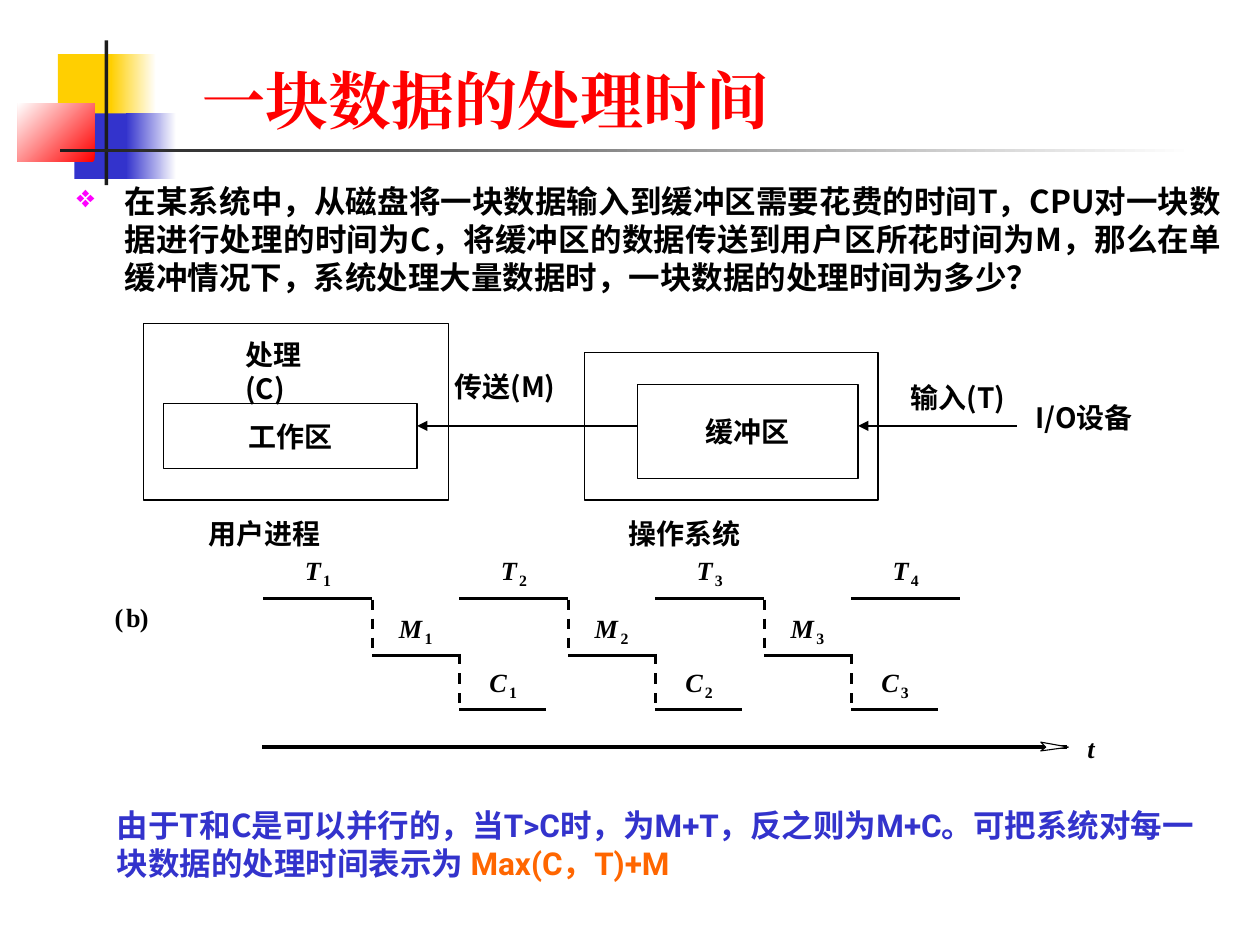
from lxml.etree import SubElement
from pptx import Presentation
from pptx.dml.color import RGBColor as RGB
from pptx.enum.shapes import MSO_CONNECTOR as CONN, MSO_SHAPE as SHAPE
from pptx.enum.text import MSO_ANCHOR as ANCHOR, PP_ALIGN as ALIGN
from pptx.oxml.ns import qn
from pptx.util import Inches, Pt

COLORS = {
    "black": "000000", "white": "FFFFFF", "dark": "1C1C1C", "yellow": "FFCF01",
    "blue": "3333CC", "red": "FF0000", "magenta": "FF00FF", "orange": "FF6600",
}
CJK, SANS, SERIF = "Noto Sans CJK SC", "Roboto", "Times New Roman"


def color(name):
    return RGB.from_string(COLORS[name])


def add_run(p, text, size=16, font=CJK, fill="black", italic=False):
    r = p.add_run()
    r.text = text
    f = r.font
    f.size, f.name, f.bold, f.italic = Pt(size), font, True, italic
    f.color.rgb = color(fill)
    SubElement(r._r.get_or_add_rPr(), qn("a:ea"), typeface=font)


def add_bullet(p, char, fill, indent):
    pPr = p._p.get_or_add_pPr()
    pPr.set("marL", str(Inches(indent)))
    pPr.set("indent", str(-Inches(indent)))
    clr = SubElement(pPr, qn("a:buClr"))
    SubElement(clr, qn("a:srgbClr"), val=COLORS[fill])
    SubElement(pPr, qn("a:buChar"), char=char)


class Board:
    """Holds the current slide and draws each kind of element in one style."""

    def __init__(self, slide):
        self.shapes = slide.shapes

    def box(self, x, y, w, h, fill="white", line=None, fade=None, angle=180):
        """Rectangle; with fade, a gradient runs from fill to fade."""
        sp = self.shapes.add_shape(SHAPE.RECTANGLE, *map(Inches, (x, y, w, h)))
        sp.shadow.inherit = False
        if fade:
            sp.fill.gradient()
            sp.fill.gradient_angle = angle
            for stop, name, pos in zip(sp.fill.gradient_stops, (fill, fade), (0, 1)):
                stop.color.rgb = color(name)
                stop.position = pos
        else:
            sp.fill.solid()
            sp.fill.fore_color.rgb = color(fill)
        if line:
            sp.line.color.rgb = color("black")
            sp.line.width = Pt(line)
        else:
            sp.line.fill.background()
        return sp

    def text(self, sp, runs, wrap=True, margin=True, align=ALIGN.LEFT,
             anchor=ANCHOR.TOP, spacing=None):
        """Fill a shape with runs, each a (text, format) pair."""
        tf = sp.text_frame
        tf.word_wrap, tf.vertical_anchor = wrap, anchor
        tf.margin_left = tf.margin_right = Inches(0.1 if margin else 0)
        tf.margin_top = tf.margin_bottom = Inches(0.05 if margin else 0)
        p = tf.paragraphs[0]
        p.alignment = align
        if spacing:
            p.line_spacing = Pt(spacing)
        for text, style in runs:
            add_run(p, text, **style)
        return p

    def label(self, x, y, w, h, runs, **layout):
        tb = self.shapes.add_textbox(*map(Inches, (x, y, w, h)))
        return self.text(tb, runs, **layout)

    def glyph(self, x, y, w, text, size=15, italic=False):
        """Serif letter on a white patch."""
        sp = self.box(x, y, w, 0.25 if size == 15 else 0.15)
        style = dict(size=size, font=SERIF, italic=italic)
        self.text(sp, [(text, style)], wrap=False, margin=False)

    def symbol(self, x, y, w, text, index):
        self.glyph(x, y, w, text, italic=True)
        self.glyph(x + w + 0.015, y + 0.13, 0.06, str(index), size=9)

    def line(self, x1, y1, x2, y2, width=1.75, arrow=False):
        c = self.shapes.add_connector(CONN.STRAIGHT, *map(Inches, (x1, y1, x2, y2)))
        c.line.color.rgb = color("black")
        c.line.width = Pt(width)
        if arrow:
            SubElement(c.line._get_or_add_ln(), qn("a:tailEnd"), type="triangle")
        SubElement(c._element.spPr, qn("a:effectLst"))

    def drop(self, x, y, step):
        """Vertical run of three dashes."""
        for i in range(3):
            self.line(x, y + i * step, x, y + i * step + 0.08)

    def outline(self, points, width):
        fb = self.shapes.build_freeform(*map(Inches, points[0]))
        fb.add_line_segments([tuple(map(Inches, pt)) for pt in points[1:]], close=True)
        sp = fb.convert_to_shape()
        sp.shadow.inherit = False
        sp.fill.solid()
        sp.fill.fore_color.rgb = color("white")
        sp.line.color.rgb = color("black")
        sp.line.width = Pt(width)


def draw_header(b):
    b.box(0.46, 0.43, 0.48, 0.52, "yellow")
    b.box(0.88, 0.43, 0.36, 0.52, "white", fade="yellow")
    b.box(0.59, 0.9, 0.46, 0.52, "blue")
    b.box(1, 0.9, 0.4, 0.52, "white", fade="blue")
    b.box(0.14, 0.82, 0.61, 0.46, "red", fade="white", angle=135)
    b.box(0.83, 0.32, 0.03, 1.15, "dark")
    b.box(0.48, 1.18, 9, 0.03, "white", fade="dark")
    title = dict(size=36, font=SERIF, fill="red")
    b.label(1.51, 0.21, 7.74, 0.93, [("一块数据的处理时间", title)], anchor=ANCHOR.BOTTOM)


def draw_question(b):
    question = (
        "在某系统中，从磁盘将一块数据输入到缓冲区需要花费的时间T，"
        "CPU对一块数据进行处理的时间为C，将缓冲区的数据传送到用户区所花时间为M，"
        "那么在单缓冲情况下，系统处理大量数据时，一块数据的处理时间为多少？")
    p = b.label(0.51, 1.39, 9.28, 5.75, [(question, dict(size=18))],
                align=ALIGN.JUSTIFY, spacing=21.7)
    add_bullet(p, "❖", "magenta", 0.38)


def draw_buffer_diagram(b):
    b.box(1.14, 2.57, 2.42, 1.4, line=0.75)
    b.box(4.64, 2.8, 2.33, 1.17, line=0.75)
    for area, name in (((1.3, 3.2, 2.01, 0.52), "工作区"),
                       ((5.06, 3.05, 1.75, 0.75), "缓冲区")):
        b.text(b.box(*area, line=0.75), [(name, dict(font=SANS))], wrap=False,
               align=ALIGN.CENTER, anchor=ANCHOR.MIDDLE)
    for x, y, w, name in ((1.56, 4.05, 1.5, "用户进程"), (4.89, 4.05, 1.5, "操作系统"),
                          (3.51, 2.88, 1.08, "传送(M)"), (7.13, 2.97, 1.16, "输入(T)"),
                          (8.12, 3.13, 1.33, "I/O设备"), (1.85, 2.63, 0.9, "处理(C)")):
        b.label(x, y, w, 0.37, [(name, {})], spacing=19.4)
    b.line(5.06, 3.38, 3.31, 3.38, 0.75, arrow=True)
    b.line(8.07, 3.38, 6.81, 3.38, 0.75, arrow=True)


def draw_timeline(b):
    period, input_len, step_len = 1.555, 0.865, 0.69
    for i in range(4):
        x = 2.09 + i * period
        b.line(x, 4.75, x + input_len, 4.75)
        b.symbol(x + 0.33, 4.4, 0.13, "T", i + 1)
        if i == 3:
            break
        move = x + input_len
        work = move + step_len
        b.drop(move, 4.76, 0.15)
        b.line(move, 5.2, work, 5.2)
        b.symbol(move + 0.21, 4.86, 0.19, "M", i + 1)
        b.drop(work, 5.19, 0.155)
        b.line(work, 5.63, work + step_len, 5.63)
        b.symbol(work + 0.24, 5.29, 0.14, "C", i + 1)
    b.line(2.08, 5.93, 8.47, 5.93, 2.25)
    b.outline([(8.26, 5.89), (8.3, 5.93), (8.26, 5.96), (8.48, 5.93)], 0.62)
    b.glyph(8.63, 5.81, 0.06, "t", italic=True)
    for x, w, char in ((0.91, 0.07, "("), (1, 0.12, "b"), (1.11, 0.07, ")")):
        b.glyph(x, 4.77, w, char)


def draw_answer(b):
    parts = (("由于T和C是可以并行的，", CJK, "blue"),
             ("当T>C时，为M+T，反之则为M+C。", SANS, "blue"),
             ("可把系统对每一块数据的处理时间表示为 ", CJK, "blue"),
             ("Max(C", SANS, "orange"), ("，", CJK, "orange"), ("T)+M", SANS, "orange"))
    runs = [(text, dict(size=18, font=font, fill=fill)) for text, font, fill in parts]
    b.label(0.83, 6.35, 8.9, 0.7, runs, spacing=21.7)


def main():
    prs = Presentation()
    prs.slide_width, prs.slide_height = Inches(10), Inches(7.5)
    board = Board(prs.slides.add_slide(prs.slide_layouts[6]))
    for draw in (draw_header, draw_question, draw_buffer_diagram, draw_answer, draw_timeline):
        draw(board)
    prs.save("out.pptx")


if __name__ == "__main__":
    main()
